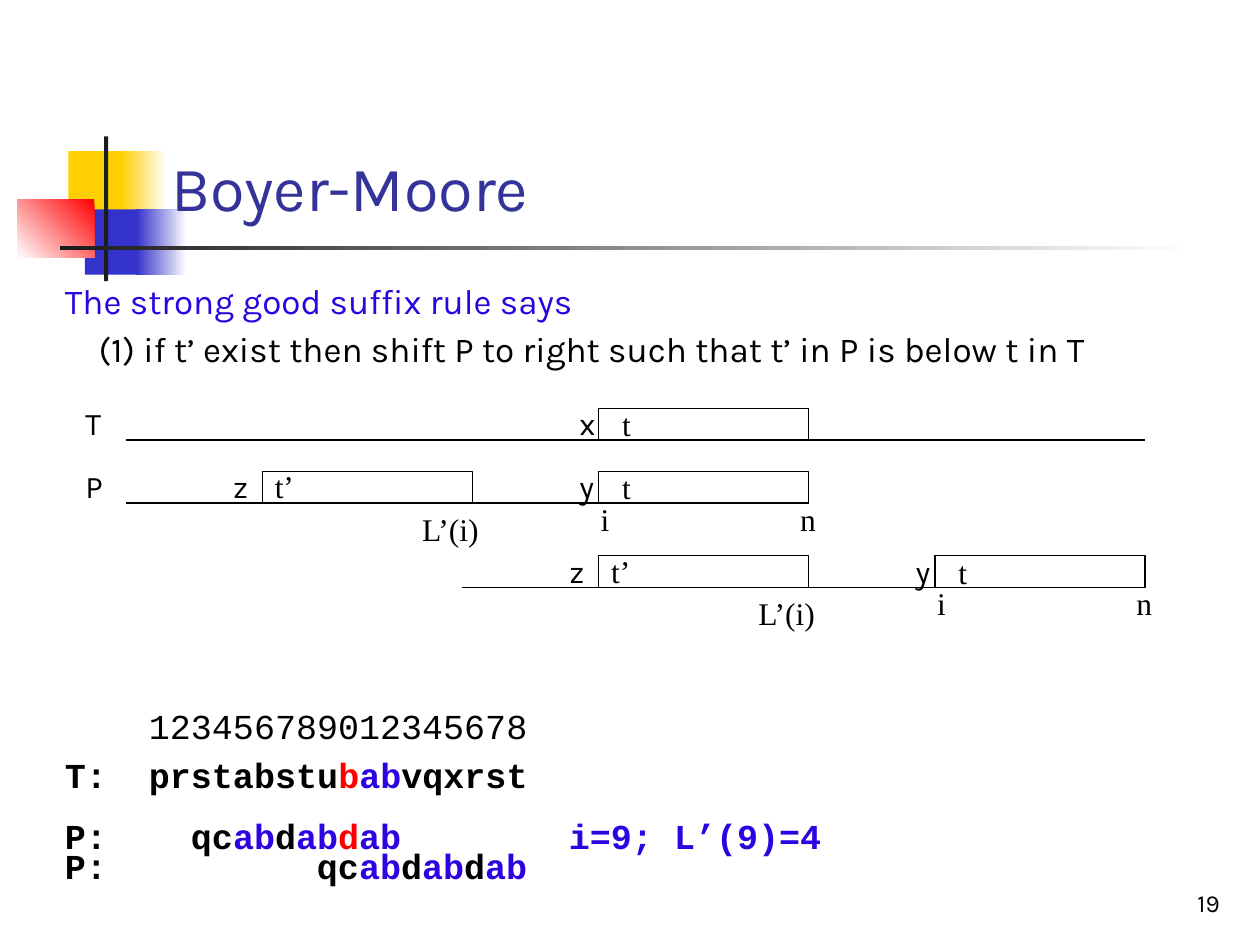
from dataclasses import dataclass

from pptx import Presentation
from pptx.dml.color import RGBColor
from pptx.enum.shapes import MSO_CONNECTOR, MSO_SHAPE
from pptx.enum.text import MSO_ANCHOR, PP_ALIGN
from pptx.oxml.ns import qn
from pptx.util import Cm, Pt


@dataclass(frozen=True)
class Theme:
    # Colours
    black: str = "000000"
    blue: str = "2D03E1"
    red: str = "FF0000"
    title: str = "333399"
    white: str = "FFFFFF"
    yellow: str = "FFCF01"
    indigo: str = "3333CC"
    charcoal: str = "1C1C1C"
    # Fonts
    sans: str = "Karla"
    serif: str = "Times New Roman"
    mono: str = "Courier New"
    # Type sizes in points
    title_size: int = 36
    body_size: int = 20
    label_size: int = 18
    number_size: int = 14


THEME = Theme()
CHARACTER = 0.6 * THEME.body_size * 2.54 / 72  # width of one code column, in cm


def add_box(page, left, top, width, height, wrap=True, anchor=MSO_ANCHOR.TOP):
    box = page.shapes.add_textbox(Cm(left), Cm(top), Cm(width), Cm(height))
    box.text_frame.word_wrap = wrap
    box.text_frame.vertical_anchor = anchor
    return box.text_frame


def add_span(para, text, color, **formats):
    span = para.add_run()
    span.text = text
    for name, value in formats.items():
        setattr(span.font, name, value)
    span.font.color.rgb = RGBColor.from_string(color)


def next_para(frame, index, **formats):
    para = frame.add_paragraph() if index else frame.paragraphs[0]
    for name, value in formats.items():
        setattr(para, name, value)
    return para


def add_tabs(para, columns):
    tab_list = para._p.get_or_add_pPr().makeelement(qn("a:tabLst"), {})
    for column in columns:
        tab = tab_list.makeelement(
            qn("a:tab"), {"pos": str(int(Cm(column * CHARACTER))), "algn": "l"})
        tab_list.append(tab)
    para._p.get_or_add_pPr().append(tab_list)


def add_ornament(page, left, top):
    """Coloured squares and rules; a pair of colours makes a gradient."""
    theme = THEME
    parts = [
        (1.03, 0.30, 1.22, 1.32, [theme.yellow], 0),
        (2.10, 0.30, 0.91, 1.32, [theme.white, theme.yellow], 180),
        (1.36, 1.47, 1.17, 1.32, [theme.indigo], 0),
        (2.40, 1.47, 1.02, 1.32, [theme.white, theme.indigo], 180),
        (0.00, 1.27, 1.55, 1.17, [theme.red, theme.white], 225),
        (1.75, 0.00, 0.08, 2.92, [theme.charcoal], 0),
        (0.86, 2.20, 22.86, 0.09, [theme.white, theme.charcoal], 180),
    ]
    for across, down, width, height, colors, angle in parts:
        block = page.shapes.add_shape(
            MSO_SHAPE.RECTANGLE, Cm(left + across), Cm(top + down), Cm(width), Cm(height))
        block.shadow.inherit = False
        block.line.fill.background()
        if len(colors) == 1:
            block.fill.solid()
            block.fill.fore_color.rgb = RGBColor.from_string(colors[0])
        else:
            block.fill.gradient()
            block.fill.gradient_angle = angle
            for stop, color in zip(block.fill.gradient_stops, colors):
                stop.color.rgb = RGBColor.from_string(color)


def add_title(page, left, top, width, height):
    frame = add_box(page, left, top, width, height, anchor=MSO_ANCHOR.BOTTOM)
    add_span(frame.paragraphs[0], "Boyer-Moore", THEME.title,
             name=THEME.sans, size=Pt(THEME.title_size))


def add_rule(page, left, top, width, height):
    """Statement of the rule, with its first case indented."""
    frame = add_box(page, left, top, width, height)
    lines = [
        ("The strong good suffix rule says", THEME.blue, 0),
        ("(1) if t’ exist then shift P to right such that t’ in P is below t in T",
         THEME.black, 0.68),
    ]
    for index, (text, color, indent) in enumerate(lines):
        para = next_para(frame, index, line_spacing=0.9, space_before=Pt(5.8 * index))
        para._p.get_or_add_pPr().set("marL", str(int(Cm(indent))))
        add_span(para, text, color, name=THEME.sans, size=Pt(THEME.body_size))


def add_strand(page, left, level, width, name, windows, labels):
    """A string drawn as a line at one level, with windows and labels above and below."""
    line = page.shapes.add_connector(
        MSO_CONNECTOR.STRAIGHT, Cm(left), Cm(level), Cm(left + width), Cm(level))
    properties = line._element.spPr
    line.line.width = Pt(0.75)
    line.line.color.rgb = RGBColor.from_string(THEME.black)
    properties.append(properties.makeelement(qn("a:effectLst"), {}))
    for across in windows:
        window = page.shapes.add_shape(
            MSO_SHAPE.FLOWCHART_PROCESS, Cm(left + across), Cm(level - 0.64),
            Cm(4.23), Cm(0.64))
        window.shadow.inherit = False
        window.fill.background()
        window.line.width = Pt(0.75)
        window.line.color.rgb = RGBColor.from_string(THEME.black)
    if name:
        labels = [(name, -1.07, -0.84, 1.07, THEME.sans), *labels]
    for text, across, down, label_width, font in labels:
        frame = add_box(page, left + across, level + down, label_width, 1.02, wrap=False)
        add_span(frame.paragraphs[0], text, THEME.black,
                 name=font, size=Pt(THEME.label_size))


def add_shift_diagram(page, left, top):
    """Text T, pattern P, and P shifted until t’ lies below t."""
    first, last = 2.75, 9.53  # window offsets along a strand
    sans, serif = THEME.sans, THEME.serif
    suffix = ("t", 9.75, -0.82, 0.69, serif)
    pattern = [
        ("z", 1.91, -0.84, 0.79, sans),
        ("t’", 2.75, -0.84, 0.89, serif),
        ("y", 8.89, -0.84, 0.84, sans),
        suffix,
        ("L’(i)", 5.72, 0.02, 1.7, serif),
        ("i", 9.32, -0.19, 0.69, serif),
        ("n", 13.34, -0.19, 0.81, serif),
    ]
    length = last + 4.23
    shift = last - first
    add_strand(page, left, top, length + shift, "T", [last],
               [("x", 8.89, -0.84, 0.84, sans), suffix])
    add_strand(page, left, top + 1.27, length, "P", [first, last], pattern)
    add_strand(page, left + shift, top + 2.97, length, "", [first, last], pattern)


def add_alignment(page, left, top, width, height, rows):
    """Code rows of (tab columns, bold, spans), lined up by tab stops."""
    frame = add_box(page, left, top, width, height)
    for index, (columns, bold, spans) in enumerate(rows):
        para = next_para(frame, index, line_spacing=0.9 if len(rows) > 1 else 1.0,
                         space_before=Pt(6.5 * index))
        add_tabs(para, columns)
        for text, color in spans:
            add_span(para, text, color, name=THEME.mono,
                     size=Pt(THEME.body_size), bold=bold)


def add_page_number(page, left, top, width, height):
    frame = add_box(page, left, top, width, height, anchor=MSO_ANCHOR.BOTTOM)
    frame.paragraphs[0].alignment = PP_ALIGN.RIGHT
    add_span(frame.paragraphs[0], "19", THEME.black,
             name=THEME.sans, size=Pt(THEME.number_size))


def main():
    deck = Presentation()
    deck.slide_width, deck.slide_height = Cm(25.4), Cm(19.05)
    page = deck.slides.add_slide(deck.slide_layouts[6])
    black, blue, red = THEME.black, THEME.blue, THEME.red

    add_ornament(page, 0.35, 2.75)
    add_title(page, 3.2, 0.58, 21.64, 4.06)
    add_rule(page, 1.06, 5.61, 24.33, 2.2)
    add_shift_diagram(page, 2.54, 8.87)

    # Worked example: before and after the shift
    add_alignment(page, 1.06, 14.17, 24.33, 2.9, [
        ([4], False, [("\t123456789012345678", black)]),
        ([4], True, [("T:\tprstabstu", black), ("b", red), ("ab", blue), ("vqxrst", black)]),
        ([6, 24], True, [("P:\tqc", black), ("ab", blue), ("d", black), ("ab", blue),
                         ("d", red), ("ab\ti=9; L’(9)=4", blue)]),
    ])
    add_alignment(page, 1.06, 16.89, 10.58, 1.1, [
        ([12], True, [("P:\tqc", black), ("ab", blue), ("d", black), ("ab", blue),
                      ("d", black), ("ab", blue)]),
    ])
    add_page_number(page, 19.56, 17.35, 5.28, 1.27)
    deck.save("out.pptx")


if __name__ == "__main__":
    main()
